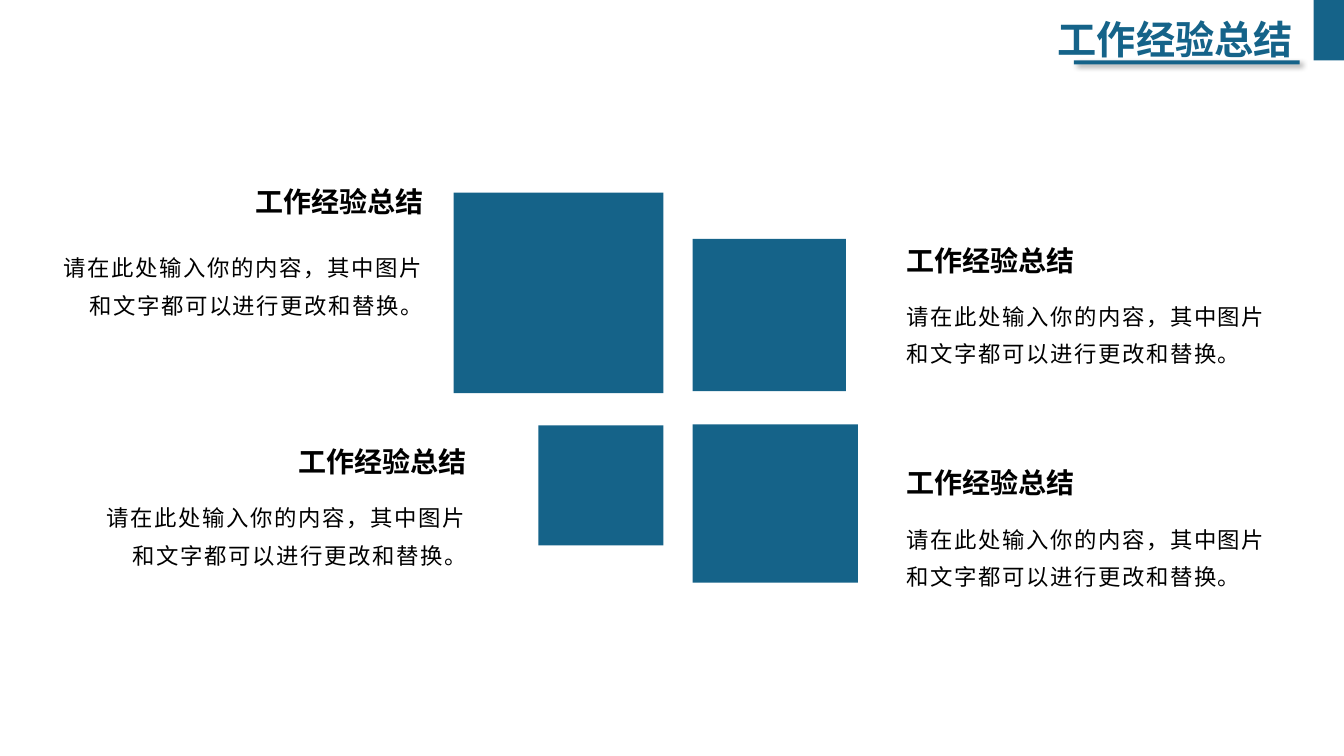
import pptx
import pptx.util
import pptx.dml.color
import pptx.enum.shapes
import pptx.enum.text
import lxml.etree

# Content: side, block (top, width, height), text edge nearest the blocks, heading top, body top
TITLE = "工作经验总结"
HEADING = "工作经验总结"
BODY = "请在此处输入你的内容，其中图片和文字都可以进行更改和替换。"
ITEMS = [
    ("left", (1.91, 2.08, 1.99), 4.3, 1.78, 2.37),
    ("right", (2.37, 1.52, 1.51), 8.89, 2.37, 2.85),
    ("left", (4.22, 1.24, 1.19), 4.73, 4.36, 4.85),
    ("right", (4.21, 1.64, 1.57), 8.89, 4.57, 5.06),
]

# Theme
THEME = {
    "accent": pptx.dml.color.RGBColor.from_string("156389"),
    "ink": pptx.dml.color.RGBColor.from_string("000000"),
    "font": "Noto Sans CJK SC",
    "title": {"size": pptx.util.Pt(28), "bold": True},
    "heading": {"size": pptx.util.Pt(20), "bold": True},
    "body": {"size": pptx.util.Pt(16), "bold": False},
}

# Layout, in inches
W, H = 13.33, 7.5
GUTTER = {"left": 6.58, "right": 6.87}
HEADING_SIZE = (2.09, 0.44)
BODY_SIZE = (3.85, 0.85)
TAB_W, TAB_H = 0.3, 0.6
A = "http://schemas.openxmlformats.org/drawingml/2006/main"
SHADOW = (
    f'<a:effectLst xmlns:a="{A}"><a:outerShdw blurRad="50800" dist="38100" dir="2700000" '
    'algn="tl" rotWithShape="0"><a:srgbClr val="000000"><a:alpha val="40000"/></a:srgbClr>'
    "</a:outerShdw></a:effectLst>"
)

prs = pptx.Presentation()
prs.slide_width, prs.slide_height = pptx.util.Inches(W), pptx.util.Inches(H)
s = prs.slides.add_slide(prs.slide_layouts[6])


def add_block(x, y, w, h):
    sp = s.shapes.add_shape(
        pptx.enum.shapes.MSO_SHAPE.RECTANGLE, *map(pptx.util.Inches, (x, y, w, h)))
    sp.shadow.inherit = False
    sp.fill.solid()
    sp.fill.fore_color.rgb = THEME["accent"]
    sp.line.fill.background()
    return sp


def add_text(text, x, y, size, style, color, align, line_spacing=None, tracking=None):
    tf = s.shapes.add_textbox(*map(pptx.util.Inches, (x, y, *size))).text_frame
    tf.word_wrap = True
    tf.auto_size = pptx.enum.text.MSO_AUTO_SIZE.SHAPE_TO_FIT_TEXT
    p = tf.paragraphs[0]
    p.alignment = getattr(pptx.enum.text.PP_ALIGN, align)
    p.line_spacing = line_spacing
    r = p.add_run()
    r.text = text
    for name, value in {**THEME[style], "name": THEME["font"]}.items():
        setattr(r.font, name, value)
    r.font.color.rgb = THEME[color]
    # East Asian typeface and letter spacing
    rpr = r._r.get_or_add_rPr()
    lxml.etree.SubElement(rpr, f"{{{A}}}ea").set("typeface", THEME["font"])
    if tracking:
        rpr.set("spc", str(tracking))


# Title, underline and corner tab
add_text(TITLE, 9.89, 0.1, (3.03, 0.57), "title", "accent", "RIGHT")
underline = add_block(10.65, TAB_H, 2.24, 0.04)
props = underline._element.spPr
props.replace(props.find(f"{{{A}}}effectLst"), lxml.etree.fromstring(SHADOW))
add_block(W - TAB_W, 0, TAB_W, TAB_H)

# Blocks around the central gutter, each with its heading and body
for side, (top, w, h), edge, heading_top, body_top in ITEMS:
    on_left = side == "left"
    add_block(GUTTER[side] - w * on_left, top, w, h)
    align = "RIGHT" if on_left else "LEFT"
    add_text(HEADING, edge - HEADING_SIZE[0] * on_left, heading_top, HEADING_SIZE,
             "heading", "ink", align)
    add_text(BODY, edge - BODY_SIZE[0] * on_left, body_top, BODY_SIZE,
             "body", "ink", align, line_spacing=1.4, tracking=120)

prs.save("out.pptx")
